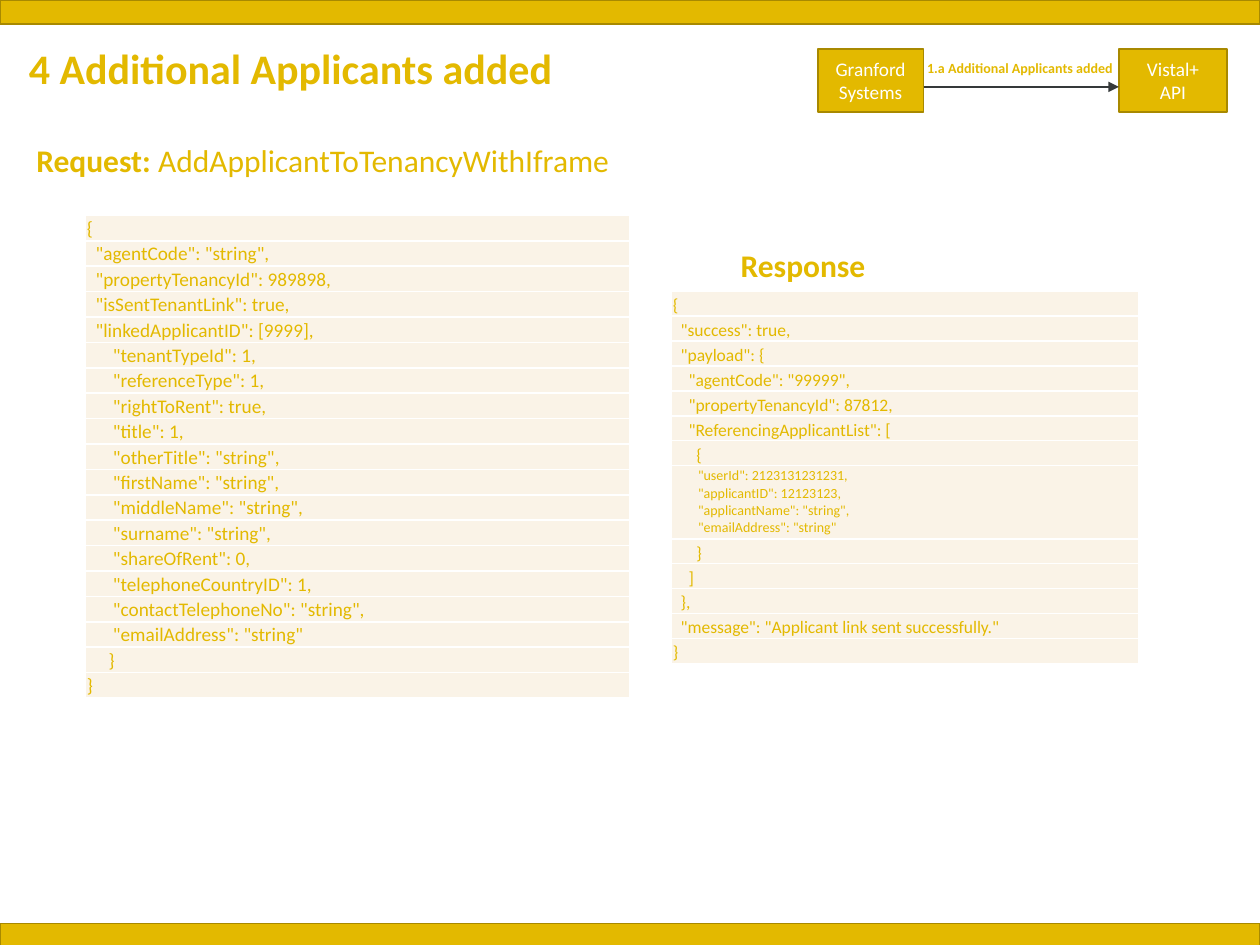
from pptx import Presentation
from pptx.dml.color import RGBColor
from pptx.enum.shapes import MSO_CONNECTOR, MSO_SHAPE
from pptx.enum.text import MSO_ANCHOR, MSO_AUTO_SIZE, PP_ALIGN
from pptx.oxml import parse_xml
from pptx.oxml.ns import nsdecls
from pptx.util import Inches, Pt

RECT, STRAIGHT = MSO_SHAPE.RECTANGLE, MSO_CONNECTOR.STRAIGHT
TOP, MIDDLE, BOTTOM = MSO_ANCHOR.TOP, MSO_ANCHOR.MIDDLE, MSO_ANCHOR.BOTTOM
LEFT, CENTER = PP_ALIGN.LEFT, PP_ALIGN.CENTER
NO_FIT = MSO_AUTO_SIZE.NONE

FONT = "Calibri"
GOLD, DARK_GOLD, CREAM, WHITE, INK = "E3B900", "A88900", "FAF3E7", "FFFFFF", "35393A"
TITLE_ONLY = 5
NESTED_ROW_H = 0.58  # row that holds several small lines
INDENT_EM = 0.45  # one code indent, in ems

# Each row is a list of (indent level, text) lines.
REQUEST = [
    [(0, '{')],
    [(1, '"agentCode": "string",')],
    [(1, '"propertyTenancyId": 989898,')],
    [(1, '"isSentTenantLink": true,')],
    [(1, '"linkedApplicantID": [9999],')],
    [(3, '"tenantTypeId": 1,')],
    [(3, '"referenceType": 1,')],
    [(3, '"rightToRent": true,')],
    [(3, '"title": 1,')],
    [(3, '"otherTitle": "string",')],
    [(3, '"firstName": "string",')],
    [(3, '"middleName": "string",')],
    [(3, '"surname": "string",')],
    [(3, '"shareOfRent": 0,')],
    [(3, '"telephoneCountryID": 1,')],
    [(3, '"contactTelephoneNo": "string",')],
    [(3, '"emailAddress": "string"')],
    [(2.5, '}')],
    [(0, '}')],
]
RESPONSE = [
    [(0, '{')],
    [(1, '"success": true,')],
    [(1, '"payload": {')],
    [(2, '"agentCode": "99999",')],
    [(2, '"propertyTenancyId": 87812,')],
    [(2, '"ReferencingApplicantList": [')],
    [(3, '{')],
    [(4, '"userId": 2123131231231,'), (4, '"applicantID": 12123123,'),
     (4, '"applicantName": "string",'), (4, '"emailAddress": "string"')],
    [(3, '}')],
    [(2, ']')],
    [(1, '},')],
    [(1, '"message": "Applicant link sent successfully."')],
    [(0, '}')],
]


def rgb(hex_color):
    return RGBColor.from_string(hex_color)


def add_text(p, text, size=18, color=GOLD, bold=False, align=LEFT, indent=0):
    p.alignment = align
    if indent:
        pPr = p._p.get_or_add_pPr()
        pPr.set("marL", str(Pt(indent * INDENT_EM * size)))
        pPr.set("indent", "0")
    r = p.add_run()
    r.text = text
    r.font.name, r.font.size, r.font.bold = FONT, Pt(size), bold
    r.font.color.rgb = rgb(color)


def add_box(s, x, y, w, h, text=None):
    sp = s.shapes.add_shape(RECT, Inches(x), Inches(y), Inches(w), Inches(h))
    sp.shadow.inherit = False
    sp.fill.solid()
    sp.fill.fore_color.rgb = rgb(GOLD)
    sp.line.color.rgb = rgb(DARK_GOLD)
    sp.line.width = Pt(1)
    if text:
        tf = sp.text_frame
        tf.word_wrap, tf.vertical_anchor = True, MIDDLE
        tf.margin_left = tf.margin_right = Inches(0.12)
        add_text(tf.paragraphs[0], text, size=11, color=WHITE, align=CENTER)


def add_label(s, x, y, w, h, wrap=True):
    """Add an empty text box and return its first paragraph."""
    tf = s.shapes.add_textbox(Inches(x), Inches(y), Inches(w), Inches(h)).text_frame
    tf.word_wrap = wrap
    return tf.paragraphs[0]


def add_title(s, x, y, w, h, text):
    sp = s.shapes.title
    sp.left, sp.top, sp.width, sp.height = Inches(x), Inches(y), Inches(w), Inches(h)
    tf = sp.text_frame
    tf.auto_size, tf.vertical_anchor = NO_FIT, TOP
    add_text(tf.paragraphs[0], text, size=24, bold=True)


def add_flow(s, x, y, w, h):
    """Add the sender, the receiver and the labelled arrow between them."""
    sender_w, receiver_w = 0.84, 0.86
    start, end = x + sender_w, x + w - receiver_w
    add_box(s, end, y, receiver_w, h, "Vistal+ API")
    add_box(s, x, y, sender_w, h, "Granford Systems")
    p = add_label(s, start - 0.07, y + 0.03, end - start + 0.14, 0.24, wrap=False)
    add_text(p, "1.a Additional Applicants added", size=8, bold=True)

    line_y = Inches(y + 0.3)
    arrow = s.shapes.add_connector(STRAIGHT, Inches(start), line_y, Inches(end), line_y)
    arrow.line.color.rgb = rgb(INK)
    arrow.line.width = Pt(1.5)
    arrow.line._get_or_add_ln().append(
        parse_xml(f'<a:tailEnd {nsdecls("a")} type="triangle"/>'))
    arrow._element.spPr.append(parse_xml(f'<a:effectLst {nsdecls("a")}/>'))


def add_borders(cell, color):
    tcPr = cell._tc.get_or_add_tcPr()
    for i, side in enumerate(("lnL", "lnR", "lnT", "lnB")):
        tcPr.insert(i, parse_xml(
            f'<a:{side} {nsdecls("a")} w="{Pt(1)}"><a:solidFill>'
            f'<a:srgbClr val="{color}"/></a:solidFill></a:{side}>'))


def add_code_table(s, x, y, w, h, rows, size):
    """Add one row per entry; single-line rows share the height left by nested ones."""
    nested = sum(len(lines) > 1 for lines in rows)
    row_h = (h - nested * NESTED_ROW_H) / (len(rows) - nested)
    table = s.shapes.add_table(len(rows), 1, Inches(x), Inches(y),
                               Inches(w), Inches(h)).table
    table.first_row = table.horz_banding = False
    for i, lines in enumerate(rows):
        is_nested = len(lines) > 1
        table.rows[i].height = Inches(NESTED_ROW_H if is_nested else row_h)
        cell = table.cell(i, 0)
        cell.margin_left = cell.margin_right = cell.margin_top = Inches(0.01)
        cell.margin_bottom = Inches(0.02 if is_nested else 0)
        cell.vertical_anchor = BOTTOM
        cell.fill.solid()
        cell.fill.fore_color.rgb = rgb(CREAM)
        add_borders(cell, WHITE)
        tf = cell.text_frame
        for n, (level, text) in enumerate(lines):
            p = tf.add_paragraph() if n else tf.paragraphs[0]
            add_text(p, text, size=8 if is_nested else size, indent=level)


def main():
    prs = Presentation()
    prs.slide_width, prs.slide_height = Inches(10), Inches(7.5)
    s = prs.slides.add_slide(prs.slide_layouts[TITLE_ONLY])

    for y in (7.33, 0):
        add_box(s, 0, y, 10, 0.19)
    add_title(s, 0.13, 0.29, 6.3, 0.5, "4 Additional Applicants added")
    add_flow(s, 6.49, 0.39, 3.25, 0.5)

    p = add_label(s, 0.19, 1.07, 5.53, 0.4)
    add_text(p, "Request: ", bold=True)
    add_text(p, "AddApplicantToTenancyWithIframe")
    add_text(add_label(s, 5.78, 1.9, 1.3, 0.4), "Response", bold=True)

    add_code_table(s, 0.68, 1.71, 4.32, 3.83, REQUEST, size=11)
    add_code_table(s, 5.33, 2.31, 3.71, 2.96, RESPONSE, size=10)
    prs.save("out.pptx")


if __name__ == "__main__":
    main()
